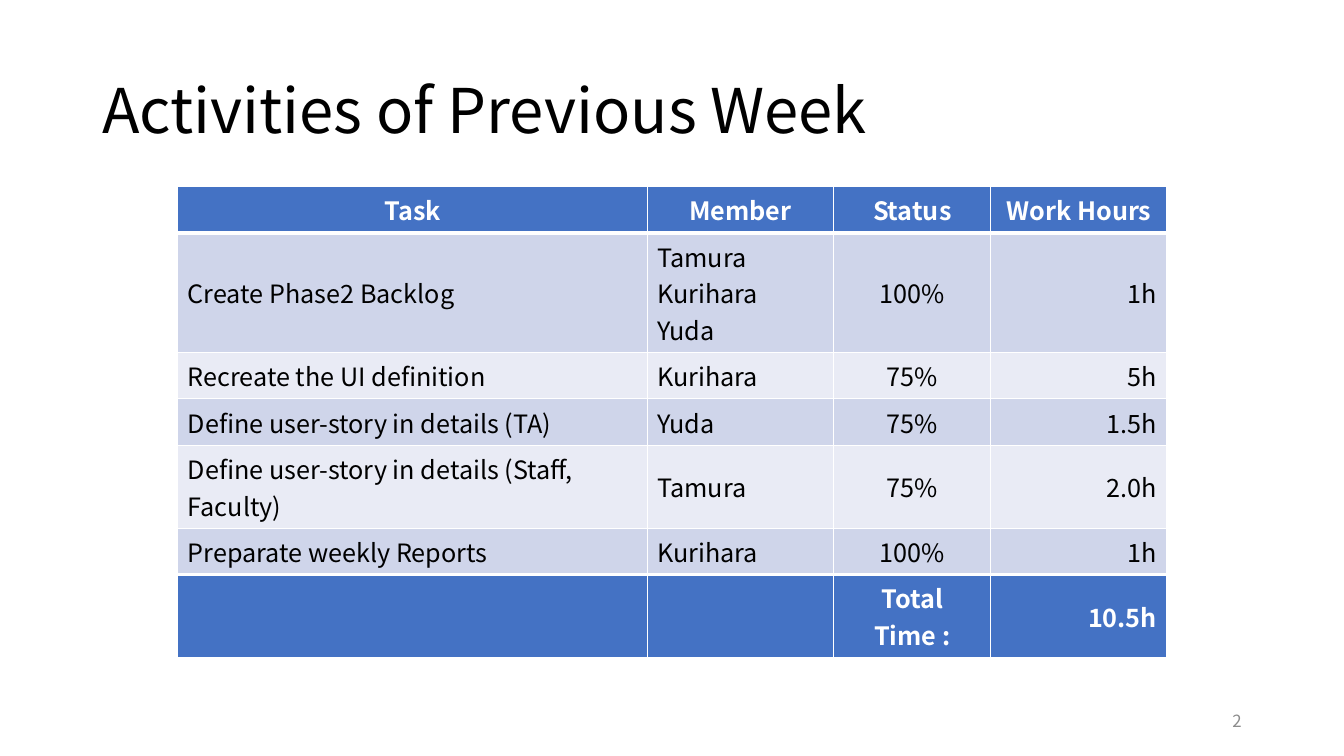
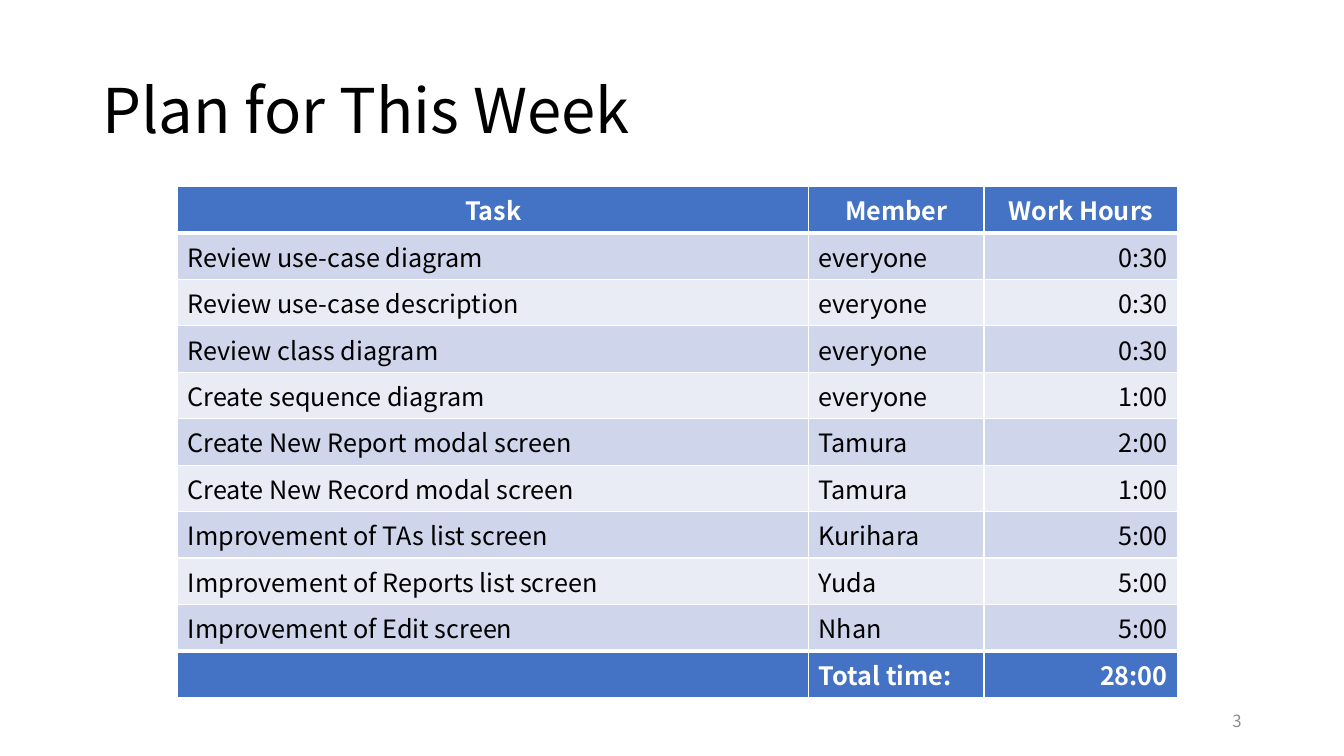
from lxml import etree
from pptx import Presentation
from pptx import util as u
from pptx.dml.color import RGBColor
from pptx.enum import text
from pptx.oxml.ns import qn

FONT = "Noto Sans CJK JP"
BLUE, WHITE, BLACK, GRAY = "4472C4", "FFFFFF", "000000", "8C8C8C"
BANDS = ("CFD5EA", "E9EBF5")
ALIGN = {"l": text.PP_ALIGN.LEFT, "c": text.PP_ALIGN.CENTER, "r": text.PP_ALIGN.RIGHT}
LEFT, TOP = 4.48, 4.7
ROW, LINE = 1.17, 0.92

PAGES = [
    {
        "title": "Activities of Previous Week",
        "page": "2",
        "cols": (11.83, 4.7, 3.96, 4.44),
        "align": "llcr",
        "lines": (1, 3, 1, 1, 2, 1, 2),
        "rows": [
            ("Task", "Member", "Status", "Work Hours"),
            ("Create Phase2 Backlog", "Tamura\nKurihara\nYuda", "100%", "1h"),
            ("Recreate the UI definition", "Kurihara", "75%", "5h"),
            ("Define user-story in details (TA)", "Yuda", "75%", "1.5h"),
            ("Define user-story in details (Staff, Faculty)", "Tamura", "75%", "2.0h"),
            ("Preparate weekly Reports", "Kurihara", "100%", "1h"),
            ("", "", "Total Time :", "10.5h"),
        ],
    },
    {
        "title": "Plan for This Week",
        "page": "3",
        "cols": (15.9, 4.42, 4.88),
        "align": "llr",
        "lines": (1,) * 11,
        "rows": [
            ("Task", "Member", "Work Hours"),
            ("Review use-case diagram", "everyone", "0:30"),
            ("Review use-case description", "everyone", "0:30"),
            ("Review class diagram", "everyone", "0:30"),
            ("Create sequence diagram", "everyone", "1:00"),
            ("Create New Report modal screen", "Tamura", "2:00"),
            ("Create New Record modal screen", "Tamura", "1:00"),
            ("Improvement of TAs list screen", "Kurihara", "5:00"),
            ("Improvement of Reports list screen", "Yuda", "5:00"),
            ("Improvement of Edit screen", "Nhan", "5:00"),
            ("", "Total time:", "28:00"),
        ],
    },
]


def color(code):
    """Turn a hex string into a colour."""
    return RGBColor.from_string(code)


def write(frame, words, size, tint, side="l", bold=False, space=1.0):
    """Fill a text frame with one paragraph per line of words."""
    frame.text = words
    look = {"name": FONT, "size": u.Pt(size), "bold": bold}
    for para in frame.paragraphs:
        para.alignment = ALIGN[side]
        para.line_spacing = space
        for run in para.runs:
            for key, value in look.items():
                setattr(run.font, key, value)
            run.font.color.rgb = color(tint)


def label(slide, box, words, size, tint, **style):
    """Add a wrapped, vertically centred text box."""
    frame = slide.shapes.add_textbox(*map(u.Cm, box)).text_frame
    frame.word_wrap = True
    frame.vertical_anchor = text.MSO_ANCHOR.MIDDLE
    write(frame, words, size, tint, **style)


def edge(cell, widths):
    """Draw white cell borders of the given widths in points."""
    props = cell._tc.get_or_add_tcPr()
    for side, width in widths.items():
        line = etree.SubElement(props, qn("a:ln" + side), w=str(u.Pt(width)))
        fill = etree.SubElement(line, qn("a:solidFill"))
        etree.SubElement(fill, qn("a:srgbClr"), val=WHITE)


def grid(slide, page):
    """Add the task table with its header, bands and total row."""
    rows, cols = page["rows"], page["cols"]
    last = len(rows) - 1
    highs = [ROW + LINE * (count - 1) for count in page["lines"]]
    box = map(u.Cm, (LEFT, TOP, sum(cols), sum(highs)))
    table = slide.shapes.add_table(len(rows), len(cols), *box).table
    for col, width in zip(table.columns, cols):
        col.width = u.Cm(width)
    for r, (row, high) in enumerate(zip(rows, highs)):
        table.rows[r].height = u.Cm(high)
        strong = r in (0, last)
        back = BLUE if strong else BANDS[(r - 1) % 2]
        widths = {
            "L": 1,
            "R": 1,
            "T": 3 if r in (1, last) else 1,
            "B": 3 if r in (0, last - 1) else 1,
        }
        for c, words in enumerate(row):
            cell = table.cell(r, c)
            cell.vertical_anchor = text.MSO_ANCHOR.MIDDLE
            edge(cell, widths)
            cell.fill.solid()
            cell.fill.fore_color.rgb = color(back)
            side = page["align"][c] if r else "c"
            write(cell.text_frame, words, 18, WHITE if strong else BLACK, side, strong)


def main():
    """Build and save the slides."""
    deck = Presentation()
    deck.slide_width, deck.slide_height = u.Cm(33.87), u.Cm(19.05)
    for page in PAGES:
        slide = deck.slides.add_slide(deck.slide_layouts[6])
        label(slide, (2.33, 1.01, 29.21, 3.68), page["title"], 44, BLACK, space=0.9)
        grid(slide, page)
        label(slide, (23.92, 17.66, 7.62, 1.01), page["page"], 12, GRAY, side="r")
    deck.save("out.pptx")


if __name__ == "__main__":
    main()
